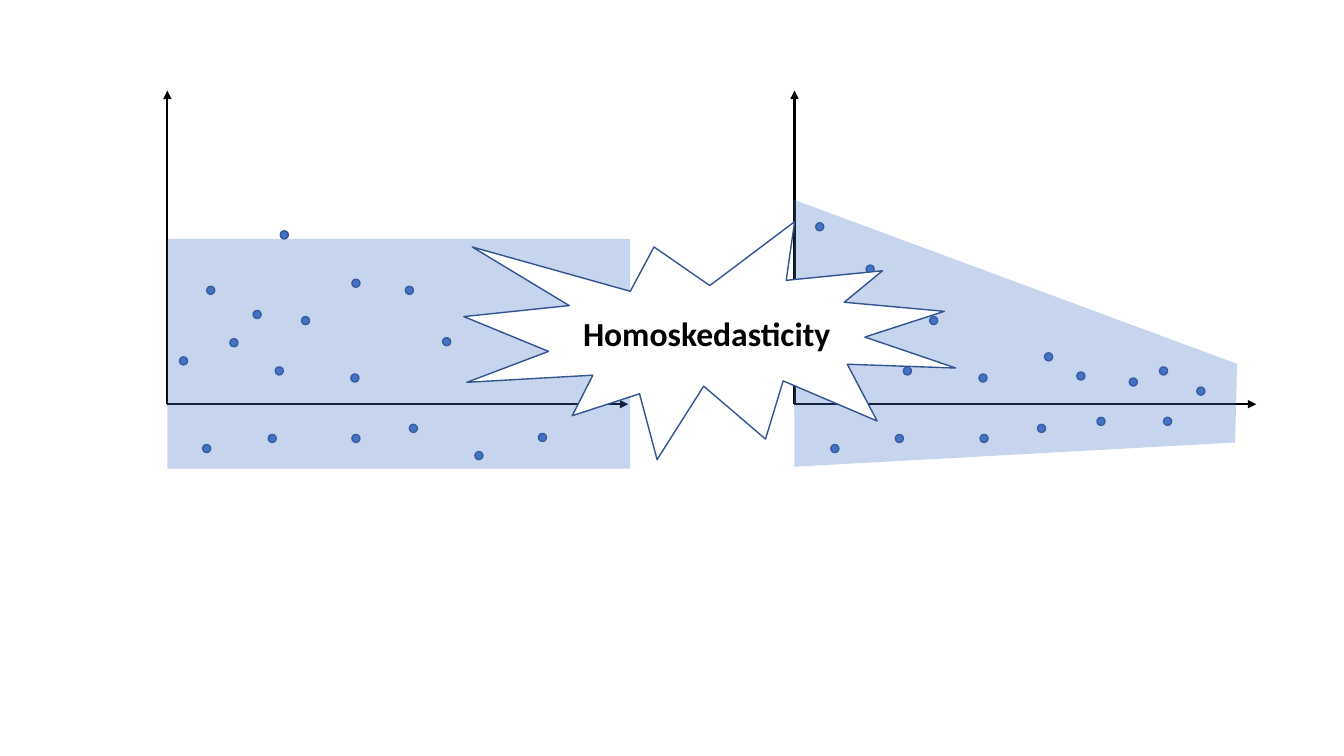
from lxml import etree
from pptx import Presentation
from pptx.dml.color import RGBColor
from pptx.enum.shapes import MSO_CONNECTOR, MSO_SHAPE
from pptx.enum.text import MSO_ANCHOR, PP_ALIGN
from pptx.oxml.ns import qn
from pptx.util import Inches, Pt

STRAIGHT = MSO_CONNECTOR.STRAIGHT
OVAL, RECTANGLE, BURST = MSO_SHAPE.OVAL, MSO_SHAPE.RECTANGLE, MSO_SHAPE.EXPLOSION1
MIDDLE, CENTER = MSO_ANCHOR.MIDDLE, PP_ALIGN.CENTER

BLUE = RGBColor(0x44, 0x72, 0xC4)
DARK_BLUE = RGBColor(0x32, 0x54, 0x91)
BLACK = RGBColor(0, 0, 0)
WHITE = RGBColor(255, 255, 255)

AXIS_TOP, AXIS_Y = 0.9, 4.01
DOT_SIZE = 0.08

EVEN_DOTS = [
    (4.02, 2.84), (5.34, 4.3), (3.48, 3.71), (2.51, 3.08), (2.78, 2.29),
    (2.66, 4.31), (2.28, 3.36), (3.49, 2.77), (2.99, 3.14), (4.39, 3.35),
    (5.27, 3.64), (3.49, 4.31), (4.06, 4.21), (2.73, 3.64), (2.05, 2.84),
    (4.95, 3.22), (2.01, 4.41), (4.71, 4.48), (1.78, 3.54), (5.68, 3.13),
]
NARROWING_DOTS = [
    (10.36, 3.5), (11.54, 4.14), (9.71, 3.71), (8.73, 3.08), (8.09, 2.21),
    (8.88, 4.31), (8.5, 3.36), (8.59, 2.63), (9.22, 3.14), (10.68, 3.69),
    (11.5, 3.64), (9.72, 4.31), (10.29, 4.21), (8.96, 3.64), (8.28, 2.84),
    (11.2, 3.75), (8.24, 4.41), (10.88, 4.14), (8.01, 3.54), (11.87, 3.84),
]
NARROWING_BAND = [(7.87, 1.98), (12.27, 3.61), (12.25, 4.39), (7.88, 4.63)]


class ScatterSlide:
    font = "Calibri"

    def __init__(self, slide):
        self.shapes = slide.shapes

    def paint(self, shape, fill, line=None, opacity=100):
        shape.shadow.inherit = False
        shape.fill.solid()
        shape.fill.fore_color.rgb = fill
        if opacity < 100:
            color = shape.fill._xPr.find(qn("a:solidFill"))[0]
            etree.SubElement(color, qn("a:alpha"), val=str(opacity * 1000))
        if line is None:
            shape.line.fill.background()
        else:
            shape.line.color.rgb = line
            shape.line.width = Pt(1)

    def preset(self, kind, left, top, width, height, **style):
        shape = self.shapes.add_shape(
            kind, Inches(left), Inches(top), Inches(width), Inches(height))
        self.paint(shape, **style)
        return shape

    def arrow(self, start, end):
        connector = self.shapes.add_connector(
            STRAIGHT, *[Inches(value) for value in (*start, *end)])
        connector.line.color.rgb = BLACK
        connector.line.width = Pt(1.5)
        etree.SubElement(connector.line._get_or_add_ln(), qn("a:tailEnd"),
                         type="triangle")
        etree.SubElement(connector._element.spPr, qn("a:effectLst"))

    def scatter(self, left, right, dots):
        """Draw both axes from their shared origin, then the dots."""
        origin = (left, AXIS_Y)
        self.arrow(origin, (right, AXIS_Y))
        self.arrow(origin, (left, AXIS_TOP))
        for x, y in dots:
            self.preset(OVAL, x, y, DOT_SIZE, DOT_SIZE, fill=BLUE, line=DARK_BLUE)

    def polygon(self, points, **style):
        corners = [(Inches(x), Inches(y)) for x, y in points]
        builder = self.shapes.build_freeform(*corners[0])
        builder.add_line_segments(corners[1:], close=True)
        self.paint(builder.convert_to_shape(), **style)

    def burst(self, text, left, top, width, height):
        shape = self.preset(BURST, left, top, width, height,
                            fill=WHITE, line=DARK_BLUE)
        frame = shape.text_frame
        frame.word_wrap = True
        frame.vertical_anchor = MIDDLE
        paragraph = frame.paragraphs[0]
        paragraph.alignment = CENTER
        run = paragraph.add_run()
        run.text = text
        run.font.name = self.font
        run.font.size = Pt(24)
        run.font.bold = True
        run.font.color.rgb = BLACK


def main():
    presentation = Presentation()
    presentation.slide_width = Inches(13.33)
    presentation.slide_height = Inches(7.5)
    blank_layout = presentation.slide_layouts[6]
    page = ScatterSlide(presentation.slides.add_slide(blank_layout))

    page.scatter(1.66, 6.23, EVEN_DOTS)
    page.preset(RECTANGLE, 1.66, 2.37, 4.59, 2.28, fill=BLUE, opacity=30)
    page.scatter(7.88, 12.46, NARROWING_DOTS)
    page.polygon(NARROWING_BAND, fill=BLUE, opacity=30)
    page.burst("Homoskedasticity", 4.6, 2.2, 4.88, 2.36)

    presentation.save("out.pptx")


if __name__ == "__main__":
    main()
